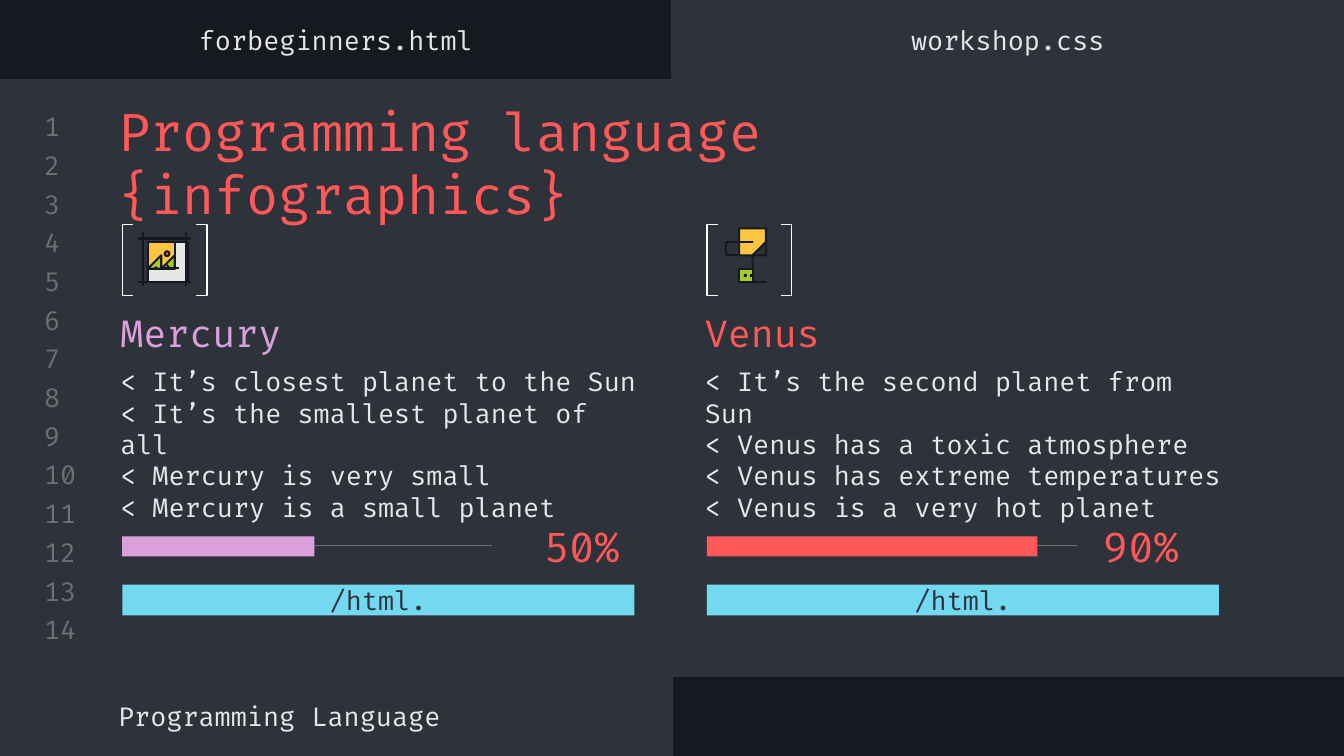
from dataclasses import dataclass
from lxml import etree
from pptx import Presentation
from pptx import util as u
from pptx.dml import color
from pptx.enum import shapes, text
from pptx.oxml import ns


@dataclass(frozen=True)
class Theme:
    font: str = "Fira Code"
    night: str = "16191F"
    panel: str = "2E323B"
    pale: str = "E7E7E7"
    white: str = "FFFFFF"
    grey: str = "707070"
    red: str = "FF5858"
    lilac: str = "DBA0DB"
    cyan: str = "72D9F0"
    yellow: str = "FCC642"
    green: str = "A5CF27"
    title: float = 28
    percent: float = 22
    heading: float = 20
    body: float = 14
    hairline: float = 0.75
    ink: float = 1.1


THEME = Theme()
CELL = u.Inches(0.1)
MARGIN = 1
LEFT, MIDDLE, RIGHT = text.PP_ALIGN.LEFT, text.PP_ALIGN.CENTER, text.PP_ALIGN.RIGHT
TOP, CENTRE = text.MSO_ANCHOR.TOP, text.MSO_ANCHOR.MIDDLE


@dataclass(frozen=True)
class Box:
    x: float
    y: float
    w: float
    h: float

    def inner(self, x, y, w, h):
        return Box(self.x + x, self.y + y, w, h)

    def emu(self):
        return [round(cells * CELL) for cells in (self.x, self.y, self.w, self.h)]


PHOTO = [
    ("outline", THEME.pale, [(15.5, 10.5), (47.5, 10.5), (47.5, 42.5), (15.5, 42.5)]),
    *[("line", None, [(x, 6), (x, 46)]) for x in (15.5, 47.5)],
    *[("line", None, [(12, y), (51, y)]) for y in (10.5, 42.5)],
    ("outline", THEME.yellow, [(20, 15), (42, 15), (42, 37), (20, 37)]),
    ("outline", THEME.green, [(26, 22), (20, 28), (20, 37), (42, 37), (42, 28),
                              (38, 24), (33, 30)]),
    ("line", None, [(28, 32.5), (42, 32.5)]),
    ("line", None, [(33, 30), (35, 32.5)]),
    ("oval", THEME.red, [(31.5, 20), (35, 23.5)]),
    ("oval", THEME.night, [(24.5, 32), (25.5, 33)]),
]
TROPHY = [
    ("outline", None, [(22, 8), (18, 8), (16, 10), (16, 13), (18, 19), (24, 23)]),
    ("outline", None, [(41, 8), (45, 8), (47, 10), (47, 13), (45, 19), (39, 23)]),
    ("outline", THEME.yellow, [(22, 7), (22, 14), (24, 20), (26, 24), (29, 27), (29, 35),
                               (34, 35), (34, 27), (37, 24), (39, 20), (41, 14), (41, 7)]),
    ("outline", THEME.green, [(27, 35), (25, 36), (25, 42), (38, 42), (38, 36), (36, 35)]),
    ("outline", THEME.green, [(22, 46), (22, 44), (24, 42), (39, 42), (41, 44), (41, 46)]),
    ("outline", THEME.red, [(31.5, 11), (30, 13.5), (28, 14), (29.5, 16), (29, 18),
                            (31.5, 17), (34, 18), (33.5, 16), (35, 14), (33, 13.5)]),
    ("oval", THEME.night, [(28, 37.5), (29, 38.5)]),
    ("line", None, [(32, 38), (35, 38)]),
]
PLANETS = [
    dict(name="Mercury", tint=THEME.lilac, icon=PHOTO, percent="50%", filled=14.3,
         percent_align=RIGHT, percent_x=26.4,
         facts=["< It’s closest planet to the Sun", "< It’s the smallest planet of all",
                "< Mercury is very small", "< Mercury is a small planet"]),
    dict(name="Venus", tint=THEME.red, icon=TROPHY, percent="90%", filled=24.6,
         percent_align=MIDDLE, percent_x=26.5,
         facts=["< It’s the second planet from Sun", "< Venus has a toxic atmosphere",
                "< Venus has extreme temperatures", "< Venus is a very hot planet"]),
]


def rgb(code):
    return color.RGBColor.from_string(code)


def write(frame, lines, size=THEME.body, tint=THEME.pale, align=LEFT, anchor=CENTRE,
          side=MARGIN, right=None):
    frame.word_wrap = True
    frame.auto_size = text.MSO_AUTO_SIZE.NONE
    frame.vertical_anchor = anchor
    frame.margin_top = frame.margin_bottom = CELL
    frame.margin_left = round(side * CELL)
    frame.margin_right = round((side if right is None else right) * CELL)
    frame.text = "\n".join(lines)
    for paragraph in frame.paragraphs:
        properties = paragraph._p.get_or_add_pPr()
        properties.set("marL", "0")
        properties.set("indent", "0")
        etree.SubElement(properties, ns.qn("a:buNone"))
        paragraph.alignment = align
        paragraph.space_before = paragraph.space_after = u.Pt(0)
        paragraph.line_spacing = 1.0
        for run in paragraph.runs:
            run.font.name, run.font.size, run.font.bold = THEME.font, u.Pt(size), False
            run.font.color.rgb = rgb(tint)


def label(slide, box, line, **style):
    write(slide.shapes.add_textbox(*box.emu()).text_frame, [line], **style)


def fill_placeholder(holder, box, lines, **style):
    holder.left, holder.top, holder.width, holder.height = box.emu()
    write(holder.text_frame, lines, **style)


def paint(shape, fill=None, line=None, width=THEME.hairline):
    shape.shadow.inherit = False
    if fill:
        shape.fill.solid()
        shape.fill.fore_color.rgb = rgb(fill)
    else:
        shape.fill.background()
    if line:
        shape.line.color.rgb = rgb(line)
        shape.line.width = u.Pt(width)
    else:
        shape.line.fill.background()
    return shape


def block(slide, box, kind=shapes.MSO_SHAPE.RECTANGLE, **style):
    return paint(slide.shapes.add_shape(kind, *box.emu()), **style)


def rule(slide, start, end, tint, width=THEME.hairline):
    ends = [round(cells * CELL) for cells in (*start, *end)]
    line = slide.shapes.add_connector(shapes.MSO_CONNECTOR.STRAIGHT, *ends)
    line.line.color.rgb = rgb(tint)
    line.line.width = u.Pt(width)
    etree.SubElement(line._element.spPr, ns.qn("a:effectLst"))


def draw_icon(slide, box, strokes):
    for kind, fill, points in strokes:
        spots = [(box.x + x / 10, box.y + y / 10) for x, y in points]
        if kind == "line":
            rule(slide, *spots, THEME.night, THEME.ink)
        elif kind == "oval":
            (x, y), (x2, y2) = spots
            block(slide, Box(x, y, x2 - x, y2 - y), shapes.MSO_SHAPE.OVAL,
                  fill=fill, line=THEME.night, width=THEME.ink)
        else:
            pen = slide.shapes.build_freeform(*spots[0], scale=CELL)
            pen.add_line_segments(spots[1:], close=True)
            paint(pen.convert_to_shape(), fill, THEME.night, THEME.ink)


def editor_window(slide):
    slide.background.fill.solid()
    slide.background.fill.fore_color.rgb = rgb(THEME.night)
    for box in (Box(50, 0, 50, 6.5), Box(0, 49.8, 50, 6.5), Box(0, 5.9, 100, 44.4)):
        panel = block(slide, box, fill=THEME.panel, line=THEME.panel)
        slide.shapes.element.insert(2, panel.element)
    for column, file_name in enumerate(("forbeginners.html", "workshop.css")):
        label(slide, Box(50 * column, 1, 50, 3.9), file_name, align=MIDDLE)
    label(slide, Box(7.8, 51.3, 53.2, 3.9), "Programming Language")


def line_numbers(slide, box, count):
    pitch = box.h / count
    for row in range(count):
        label(slide, box.inner(0, row * pitch, box.w, 2.4), str(row + 1), tint=THEME.grey)


def bracketed_icon(slide, box, strokes):
    draw_icon(slide, box, strokes)
    sides = ((shapes.MSO_SHAPE.LEFT_BRACKET, 0), (shapes.MSO_SHAPE.RIGHT_BRACKET, box.w - 0.8))
    for kind, x in sides:
        bracket = block(slide, box.inner(x, 0, 0.8, box.h), kind, line=THEME.white)
        bracket.adjustments[0] = 0


def planet_panel(slide, box, planet, heading, facts):
    bracketed_icon(slide, box.inner(0, 0, 6.3, 5.3), planet["icon"])
    text_x = box.x - 1.15
    fill_placeholder(heading, Box(text_x, box.y + 6.2, 40.6, 3.7), [planet["name"]],
                     size=THEME.heading, tint=planet["tint"])
    fill_placeholder(facts, Box(text_x, box.y + 9.5, 40.6, 11.5), planet["facts"], anchor=TOP)
    middle = box.y + 23.9
    rule(slide, (box.x, middle), (box.x + 27.5, middle), THEME.grey)
    block(slide, box.inner(0, 23.2, planet["filled"], 1.5), fill=planet["tint"])
    tag = block(slide, box.inner(0, 26.8, box.w, 2.3), fill=THEME.cyan)
    write(tag.text_frame, ["/html."], tint=THEME.panel, align=MIDDLE, side=0)
    label(slide, box.inner(planet["percent_x"], 22.2, 11.6, 3.4), planet["percent"],
          size=THEME.percent, tint=THEME.red, align=planet["percent_align"])


def main():
    deck = Presentation()
    deck.slide_width, deck.slide_height = 100 * CELL, round(56.25 * CELL)
    slide = deck.slides.add_slide(deck.slide_layouts.get_by_name("Comparison"))
    title, *holders = slide.placeholders
    editor_window(slide)
    line_numbers(slide, Box(2.3, 8.2, 4.7, 40.3), 14)
    fill_placeholder(title, Box(7.8, 6.4, 84.4, 6.3), ["Programming language {infographics}"],
                     size=THEME.title, tint=THEME.red, anchor=TOP, right=8)
    for column, planet in enumerate(PLANETS):
        heading, facts = holders[2 * column:2 * column + 2]
        planet_panel(slide, Box(9.1 + 43.5 * column, 16.7, 38.1, 29.1), planet, heading, facts)
    deck.save("out.pptx")


if __name__ == "__main__":
    main()
